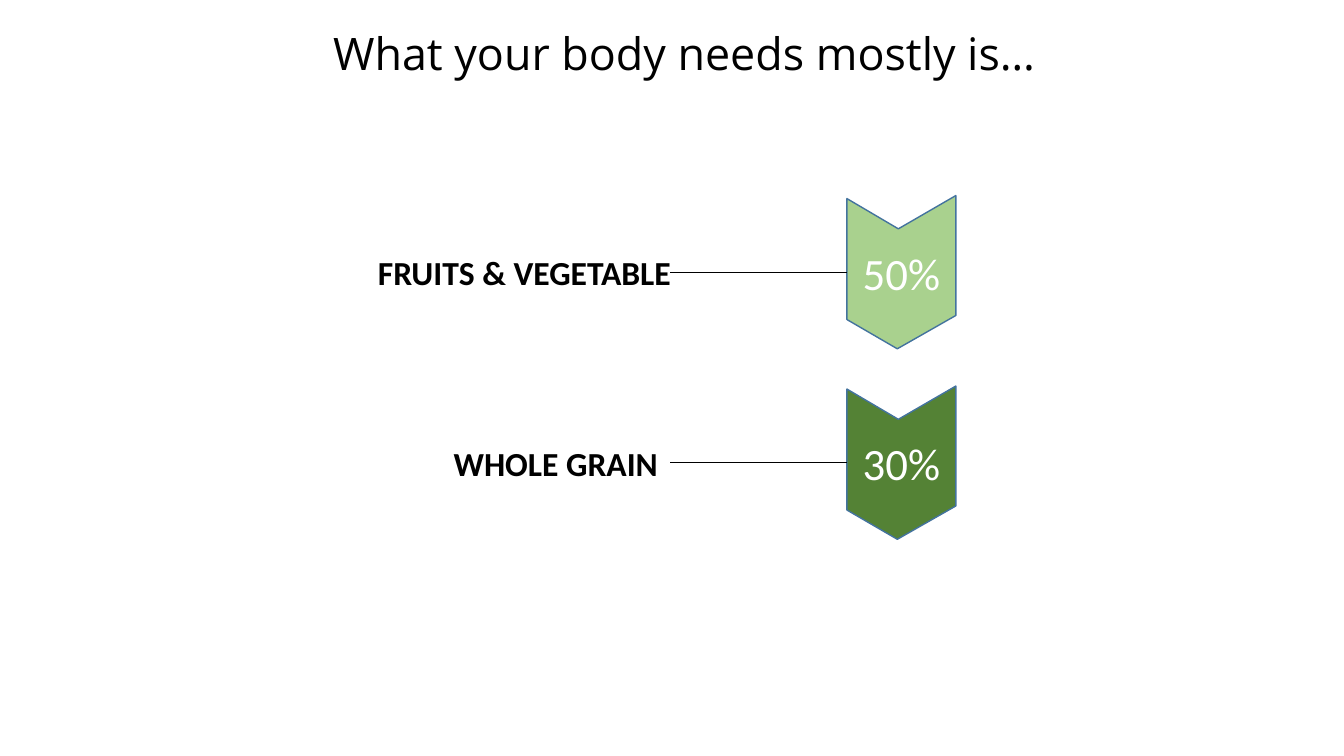
import pptx
import pptx.util
import pptx.dml.color
import pptx.enum.shapes
import pptx.enum.text
import pptx.oxml.ns
import lxml.etree

Inches, Pt = pptx.util.Inches, pptx.util.Pt
RGBColor = pptx.dml.color.RGBColor
PP_ALIGN, MSO_ANCHOR = pptx.enum.text.PP_ALIGN, pptx.enum.text.MSO_ANCHOR

BLACK = RGBColor(0x00, 0x00, 0x00)
WHITE = RGBColor(0xFF, 0xFF, 0xFF)
LIGHT_GREEN = RGBColor(0xA9, 0xD1, 0x8E)
DARK_GREEN = RGBColor(0x54, 0x82, 0x35)
OUTLINE = RGBColor(0x43, 0x73, 0x9E)

TITLE = "What your body needs mostly is…"
# label, label left, label width, share, chevron fill
FOODS = [
    ("FRUITS & VEGETABLE", 3.65, 3.14, "50%", LIGHT_GREEN),
    ("WHOLE GRAIN", 4.4, 2.25, "30%", DARK_GREEN),
]

FIRST_TOP, ROW_PITCH = 1.94, 1.89
CHEVRON_LEFT = 8.4
CHEVRON = [(1.08, 0), (1.08, 1.19), (0.5, 1.52), (0, 1.23), (0, 0.03), (0.51, 0.33)]
LINE_LEFT, LINE_DROP = 6.65, 0.76
LABEL_HEIGHT = 0.5


def write(shape, text, font, size, color, align, bold=False):
    tf = shape.text_frame
    tf.text = text
    p = tf.paragraphs[0]
    p.alignment = align
    p.font.name, p.font.size, p.font.bold = font, Pt(size), bold
    p.font.color.rgb = color
    return tf


def add_chevron(s, top, share, fill):
    points = [(Inches(CHEVRON_LEFT + x), Inches(top + y)) for x, y in CHEVRON]
    builder = s.shapes.build_freeform(*points[0])
    builder.add_line_segments(points[1:], close=True)
    shape = builder.convert_to_shape()
    shape.shadow.inherit = False
    shape.fill.solid()
    shape.fill.fore_color.rgb = fill
    shape.line.color.rgb = OUTLINE
    shape.line.width = Pt(1)
    tf = write(shape, share, "Calibri", 32, WHITE, PP_ALIGN.CENTER)
    tf.vertical_anchor = MSO_ANCHOR.MIDDLE


def add_leader(s, y):
    line = s.shapes.add_connector(
        pptx.enum.shapes.MSO_CONNECTOR.STRAIGHT,
        Inches(CHEVRON_LEFT), Inches(y), Inches(LINE_LEFT), Inches(y))
    line.line.color.rgb = BLACK
    line.line.width = Pt(0.5)
    lxml.etree.SubElement(line._element.spPr, pptx.oxml.ns.qn("a:effectLst"))


def add_label(s, text, left, width, y):
    box = s.shapes.add_textbox(Inches(left), Inches(y - LABEL_HEIGHT / 2),
                               Inches(width), Inches(LABEL_HEIGHT))
    tf = write(box, text, "Calibri", 24, BLACK, PP_ALIGN.LEFT, bold=True)
    tf.word_wrap = False


def main():
    prs = pptx.Presentation()
    prs.slide_width, prs.slide_height = Inches(13.33), Inches(7.5)
    s = prs.slides.add_slide(prs.slide_layouts[5])

    title = s.shapes.title
    title.left, title.top = Inches(2.52), Inches(0.21)
    title.width, title.height = Inches(8.54), Inches(0.64)
    tf = write(title, TITLE, "Open Sans", 32, BLACK, PP_ALIGN.CENTER)
    tf.vertical_anchor = MSO_ANCHOR.TOP
    tf.auto_size = pptx.enum.text.MSO_AUTO_SIZE.NONE

    for row, (label, left, width, share, fill) in enumerate(FOODS):
        top = FIRST_TOP + row * ROW_PITCH
        add_chevron(s, top, share, fill)
        add_leader(s, top + LINE_DROP)
        add_label(s, label, left, width, top + LINE_DROP)

    prs.save("out.pptx")


if __name__ == "__main__":
    main()
